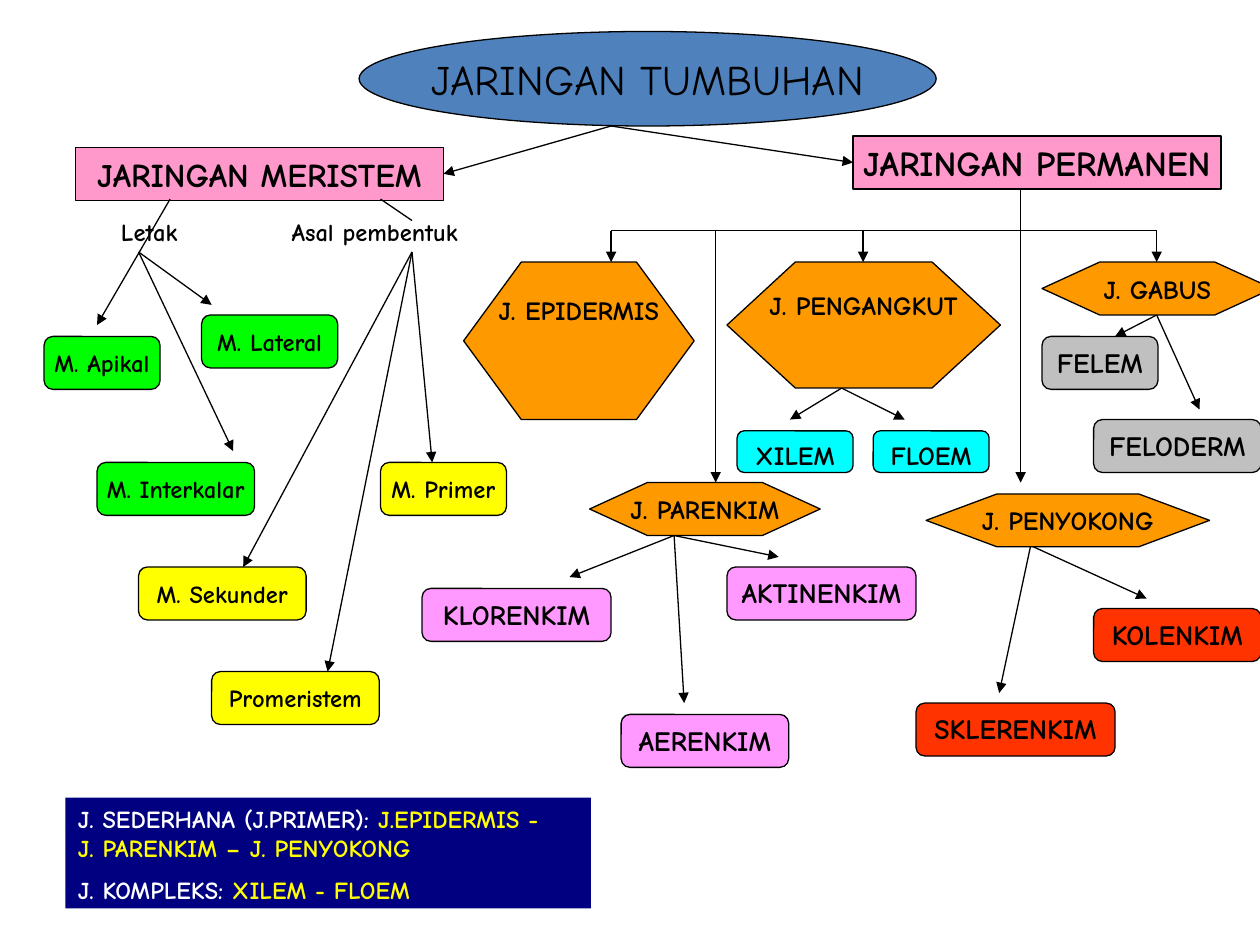
from dataclasses import dataclass

from lxml.etree import SubElement
from pptx import Presentation
from pptx.dml.color import RGBColor
from pptx.enum.shapes import MSO_CONNECTOR as Connector, MSO_SHAPE as Shape
from pptx.enum.text import MSO_ANCHOR as Anchor, PP_ALIGN as Align
from pptx.oxml.ns import qn
from pptx.util import Inches, Pt


@dataclass(frozen=True)
class Theme:
    font: str = "Comic Neue"
    ink: str = "000000"
    white: str = "FFFFFF"
    blue: str = "4F81BD"
    pink: str = "FF99CC"
    green: str = "00FF00"
    yellow: str = "FFFF00"
    orange: str = "FF9900"
    cyan: str = "00FFFF"
    grey: str = "C0C0C0"
    violet: str = "FF99FF"
    red: str = "FF3300"
    navy: str = "000080"
    title: int = 24
    meristem: int = 19
    permanent: int = 20
    leaf: int = 16
    tissue: int = 15
    body: int = 14
    line: float = 0.75


THEME = Theme()
ROW = 0.42

MERISTEMS = [
    ("M. Apikal", 0.35, 2.67, 0.92, THEME.green),
    ("M. Lateral", 1.6, 2.5, 1.08, THEME.green),
    ("M. Interkalar", 0.77, 3.67, 1.25, THEME.green),
    ("M. Primer", 3.02, 3.67, 1, THEME.yellow),
    ("M. Sekunder", 1.1, 4.5, 1.33, THEME.yellow),
    ("Promeristem", 1.68, 5.33, 1.33, THEME.yellow),
]
TISSUES = [
    ("J. EPIDERMIS", 3.68, 2.08, 1.83, 1.25, Anchor.TOP),
    ("J. PENGANGKUT", 5.77, 2.08, 2.17, 1, Anchor.TOP),
    ("J. GABUS", 8.27, 2.08, 1.83, ROW, Anchor.MIDDLE),
    ("J. PARENKIM", 4.68, 3.83, 1.83, ROW, Anchor.MIDDLE),
    ("J. PENYOKONG", 7.35, 3.92, 2.25, ROW, Anchor.MIDDLE),
]
VESSELS = [("XILEM", 5.85), ("FLOEM", 6.93)]
LEAVES = [
    ("FELEM", 8.27, 2.67, 0.92, THEME.grey),
    ("FELODERM", 8.68, 3.33, 1.33, THEME.grey),
    ("AKTINENKIM", 5.77, 4.5, 1.5, THEME.violet),
    ("KLORENKIM", 3.35, 4.67, 1.5, THEME.violet),
    ("AERENKIM", 4.93, 5.67, 1.33, THEME.violet),
    ("KOLENKIM", 8.68, 4.83, 1.33, THEME.red),
    ("SKLERENKIM", 7.27, 5.58, 1.58, THEME.red),
]
FANS = [
    ((1.35, 1.58), [(0.77, 2.58)]),
    ((1.1, 2), [(1.68, 2.42), (1.85, 3.58)]),
    ((3.27, 2), [(3.43, 3.67), (1.93, 4.5), (2.6, 5.33)]),
    ((8.1, 1.5), [(8.1, 3.83)]),
    ((6.68, 3.08), [(6.27, 3.33), (7.18, 3.33)]),
    ((9.18, 2.5), [(8.85, 2.67), (9.52, 3.25)]),
    ((5.35, 4.25), [(4.52, 4.58), (5.43, 5.58), (6.18, 4.42)]),
    ((8.18, 4.33), [(7.93, 5.5), (9.1, 4.75)]),
]
BUS_Y = 1.83
BUS_DROPS = [(4.85, 2.08), (5.68, 3.83), (6.85, 2.08), (9.18, 2.08)]


def add_run(paragraph, text, size, color=THEME.ink, bold=True):
    run = paragraph.add_run()
    run.text = text
    run.font.name = THEME.font
    run.font.size = Pt(size)
    run.font.bold = bold
    run.font.color.rgb = RGBColor.from_string(color)


def add_node(slide, kind, text, box, fill, size, anchor=Anchor.MIDDLE):
    shape = slide.shapes.add_shape(kind, *map(Inches, box))
    shape.shadow.inherit = False
    shape.fill.solid()
    shape.fill.fore_color.rgb = RGBColor.from_string(fill)
    shape.line.color.rgb = RGBColor.from_string(THEME.ink)
    shape.line.width = Pt(THEME.line)
    if kind == Shape.HEXAGON:
        width, height = box[2:]
        shape.adjustments[0] = width / height / 4
    frame = shape.text_frame
    frame.word_wrap = False
    frame.vertical_anchor = anchor
    if text:
        paragraph = frame.paragraphs[0]
        paragraph.alignment = Align.CENTER
        add_run(paragraph, text, size)
    return shape


def add_line(slide, start, end, arrow=True):
    points = map(Inches, (*start, *end))
    connector = slide.shapes.add_connector(Connector.STRAIGHT, *points)
    connector.line.color.rgb = RGBColor.from_string(THEME.ink)
    connector.line.width = Pt(THEME.line)
    if arrow:
        SubElement(connector.line._get_or_add_ln(), qn("a:tailEnd"), type="triangle")
    SubElement(connector._element.spPr, qn("a:effectLst"))
    return connector


def add_label(slide, text, left, width):
    label = slide.shapes.add_textbox(*map(Inches, (left, 1.67, width, 0.33)))
    label.text_frame.word_wrap = True
    paragraph = label.text_frame.paragraphs[0]
    paragraph.alignment = Align.CENTER
    add_run(paragraph, text, THEME.body)


def add_title(slide, text, box):
    add_node(slide, Shape.OVAL, "", box, THEME.blue, THEME.title)
    title = slide.shapes.title
    title.left, title.top, title.width, title.height = map(Inches, box)
    title.text_frame.word_wrap = False
    title.text_frame.vertical_anchor = Anchor.MIDDLE
    paragraph = title.text_frame.paragraphs[0]
    paragraph.alignment = Align.CENTER
    add_run(paragraph, text, THEME.title, bold=False)
    slide.shapes._spTree.append(title._element)


def add_summary(slide):
    summary = slide.shapes.add_textbox(*map(Inches, (0.52, 6.33, 4.17, 0.88)))
    summary.fill.solid()
    summary.fill.fore_color.rgb = RGBColor.from_string(THEME.navy)
    frame = summary.text_frame
    frame.word_wrap = True
    first, second, third = frame.paragraphs[0], frame.add_paragraph(), frame.add_paragraph()
    third.space_before = Pt(THEME.body / 2)
    add_run(first, "J. SEDERHANA (J.PRIMER): ", THEME.body, THEME.white)
    add_run(first, "J.EPIDERMIS -", THEME.body, THEME.yellow)
    add_run(second, "J. PARENKIM – J. PENYOKONG", THEME.body, THEME.yellow)
    add_run(third, "J. KOMPLEKS: ", THEME.body, THEME.white)
    add_run(third, "XILEM - FLOEM", THEME.body, THEME.yellow)


def add_branches(slide):
    meristem = add_node(slide, Shape.RECTANGLE, "JARINGAN MERISTEM",
                        (0.6, 1.17, 2.92, ROW), THEME.pink, THEME.meristem)
    permanent = add_node(slide, Shape.RECTANGLE, "JARINGAN PERMANEN",
                         (6.77, 1.08, 2.92, ROW), THEME.pink, THEME.permanent)
    add_line(slide, (4.85, 1), (3.52, 1.38)).end_connect(meristem, 3)
    add_line(slide, (4.85, 1), (6.77, 1.29)).end_connect(permanent, 1)
    add_line(slide, (3.02, 1.58), (3.27, 1.75), arrow=False)
    add_label(slide, "Letak", 0.52, 1.33)
    add_label(slide, "Asal pembentuk", 2.1, 1.75)


def add_arrows(slide):
    for start, ends in FANS:
        for end in ends:
            add_line(slide, start, end)
    add_line(slide, (BUS_DROPS[0][0], BUS_Y), (BUS_DROPS[-1][0], BUS_Y), arrow=False)
    for x, bottom in BUS_DROPS:
        add_line(slide, (x, BUS_Y), (x, bottom))


def add_nodes(slide):
    for text, left, top, width, fill in MERISTEMS:
        add_node(slide, Shape.ROUNDED_RECTANGLE, text, (left, top, width, ROW), fill, THEME.body)
    for text, left, top, width, height, anchor in TISSUES:
        add_node(slide, Shape.HEXAGON, text, (left, top, width, height),
                 THEME.orange, THEME.tissue, anchor)
    for text, left in VESSELS:
        add_node(slide, Shape.ROUNDED_RECTANGLE, text, (left, 3.42, 0.92, 0.33),
                 THEME.cyan, THEME.tissue, Anchor.TOP)
    for text, left, top, width, fill in LEAVES:
        add_node(slide, Shape.ROUNDED_RECTANGLE, text, (left, top, width, ROW),
                 fill, THEME.leaf, Anchor.TOP)


def main():
    presentation = Presentation()
    presentation.slide_width, presentation.slide_height = Inches(10), Inches(7.5)
    slide = presentation.slides.add_slide(presentation.slide_layouts[5])
    add_title(slide, "JARINGAN TUMBUHAN", (2.85, 0.25, 4.58, 0.75))
    add_branches(slide)
    add_arrows(slide)
    add_nodes(slide)
    add_summary(slide)
    presentation.save("out.pptx")


if __name__ == "__main__":
    main()
